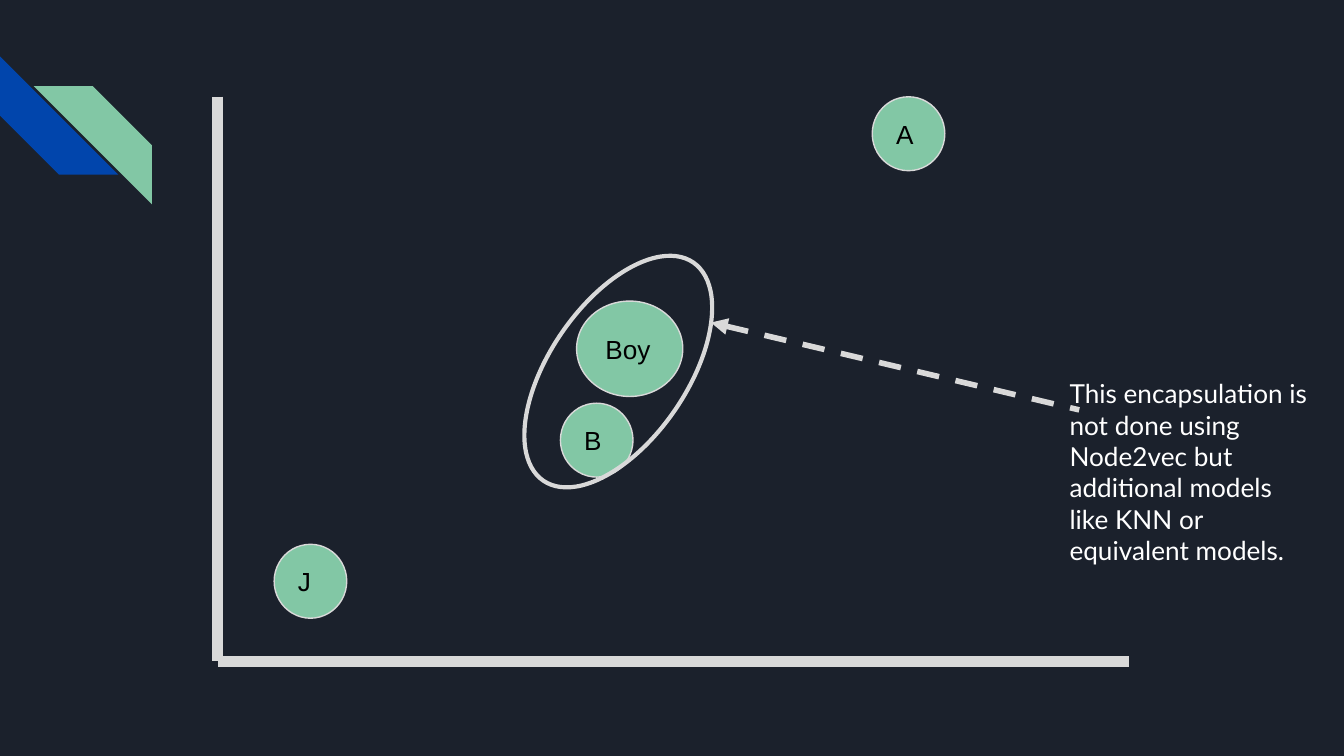
from lxml.etree import SubElement
from pptx import Presentation
from pptx.dml.color import RGBColor
from pptx.enum.dml import MSO_LINE
from pptx.enum.shapes import MSO_CONNECTOR, MSO_SHAPE
from pptx.enum.text import MSO_ANCHOR, PP_ALIGN
from pptx.oxml.ns import qn
from pptx.util import Inches, Pt

COLORS = {"back": "1B212C", "blue": "0145AC", "green": "82C7A5",
          "grey": "D9D9D9", "black": "000000", "white": "FFFFFF"}
STRIPES = [(0, 0.42, 270, "blue"), (0.25, 0.64, 90, "green")]
STRIPE = 0.88
ORIGIN, TOP, RIGHT = (1.62, 4.92), (1.62, 0.72), (8.4, 4.92)
SMALL, LARGE = (0.54, 0.55), (0.79, 0.71)
NODES = [("J", (2.04, 4.05), SMALL), ("A", (6.49, 0.72), SMALL),
         ("Boy", (4.29, 2.24), LARGE), ("B", (4.17, 3), SMALL)]
RING = (4.09, 1.78, 1.02, 1.97)
TILT = 34.5
ARROW = ((5.29, 2.4), (8.03, 3.05))
NOTE = ("This encapsulation is not done using Node2vec but additional "
        "models like KNN or equivalent models.")
NOTE_BOX = (7.86, 2.71, 2.04, 1.64)


def color(name):
    return RGBColor.from_string(COLORS[name])


def add_shape(kind, box, fill=None, width=None):
    """Add a flat shape; without fill or width, that part is left clear."""
    shape = slide.shapes.add_shape(kind, *map(Inches, box))
    shape.shadow.inherit = False
    if fill:
        shape.fill.solid()
        shape.fill.fore_color.rgb = color(fill)
    else:
        shape.fill.background()
    if width:
        shape.line.color.rgb = color("grey")
        shape.line.width = Pt(width)
    else:
        shape.line.fill.background()
    return shape


def add_line(start, end, width):
    line = slide.shapes.add_connector(
        MSO_CONNECTOR.STRAIGHT, *map(Inches, start + end))
    line.line.color.rgb = color("grey")
    line.line.width = Pt(width)
    SubElement(line._element.spPr, qn("a:effectLst"))
    return line


def set_text(shape, text, font, ink, anchor):
    frame = shape.text_frame
    frame.word_wrap = True
    frame.vertical_anchor = anchor
    frame.margin_left = frame.margin_right = Inches(0.1)
    frame.margin_top = frame.margin_bottom = Inches(0.1)
    para = frame.paragraphs[0]
    para.text = text
    para.alignment = PP_ALIGN.LEFT
    para.font.name = font
    para.font.size = Pt(14)
    para.font.color.rgb = color(ink)


deck = Presentation()
deck.slide_width = Inches(10)
deck.slide_height = deck.slide_width * 9 // 16
slide = deck.slides.add_slide(deck.slide_layouts[6])
slide.background.fill.solid()
slide.background.fill.fore_color.rgb = color("back")

for left, top, turn, fill in STRIPES:
    stripe = add_shape(MSO_SHAPE.DIAGONAL_STRIPE,
                       (left, top, STRIPE, STRIPE), fill)
    stripe.rotation = turn

for end in (TOP, RIGHT):
    add_line(end, ORIGIN, 6)

for name, spot, size in NODES:
    node = add_shape(MSO_SHAPE.OVAL, spot + size, "green", 0.75)
    set_text(node, name, "Arial", "black", MSO_ANCHOR.MIDDLE)

ring = add_shape(MSO_SHAPE.OVAL, RING, width=2.25)
ring.rotation = TILT

arrow = add_line(*ARROW, 3)
arrow.line.dash_style = MSO_LINE.DASH
SubElement(arrow.line._get_or_add_ln(), qn("a:headEnd"), type="triangle")

note = slide.shapes.add_textbox(*map(Inches, NOTE_BOX))
set_text(note, NOTE, "Lato", "white", MSO_ANCHOR.TOP)

deck.save("out.pptx")
